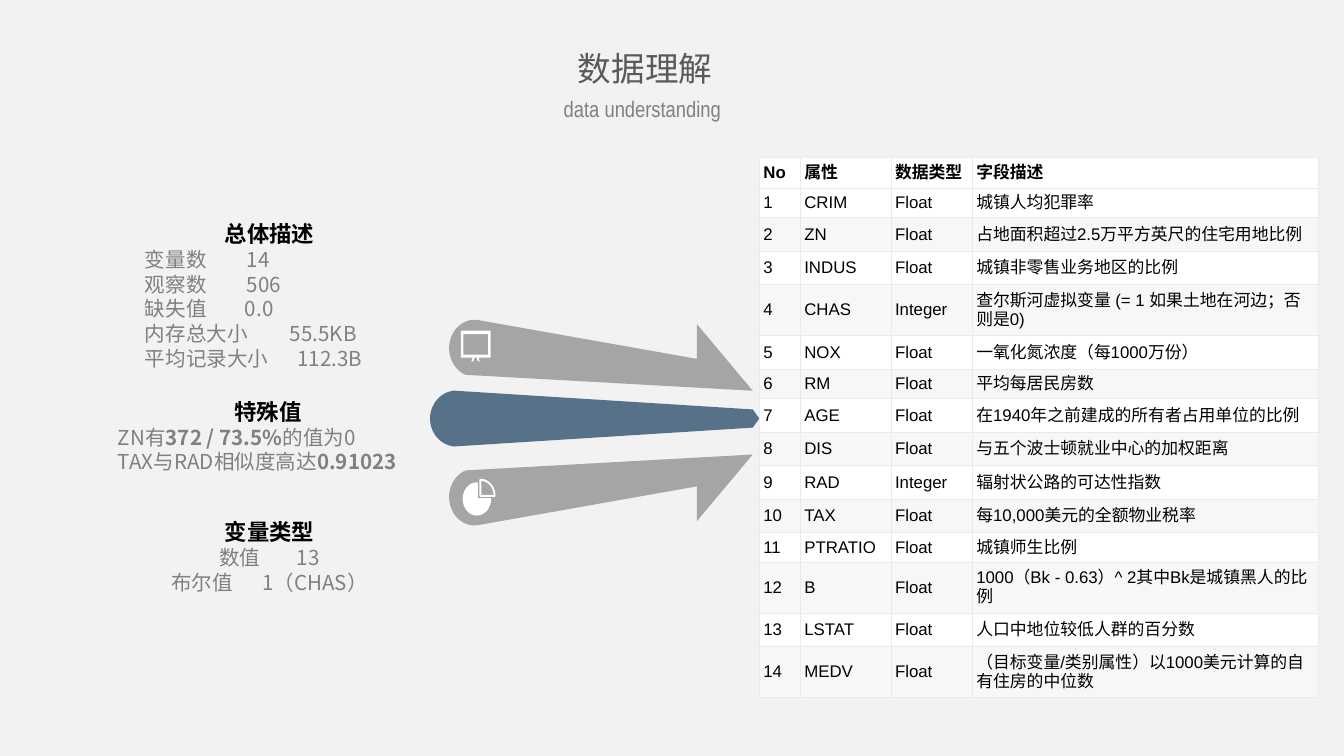
from math import cos, radians, sin
from typing import NamedTuple

from lxml import etree
from pptx import Presentation
from pptx.dml.color import RGBColor
from pptx.enum.text import MSO_ANCHOR, MSO_AUTO_SIZE, PP_ALIGN
from pptx.oxml.ns import qn
from pptx.util import Inches, Pt

CENTER, LEFT = PP_ALIGN.CENTER, PP_ALIGN.LEFT
MIDDLE, TOP = MSO_ANCHOR.MIDDLE, MSO_ANCHOR.TOP
NO_FIT = MSO_AUTO_SIZE.NONE
CELL = Inches(0.1)
TITLE_ONLY = 5
CJK, SANS, NARROW = "Noto Sans CJK SC", "Arial", "Arial Narrow"
BLACK, WHITE, GREY, DARK = "000000", "FFFFFF", "808080", "595959"
BLUE, SILVER, BAND, BORDER, BACKGROUND = "577188", "A5A5A5", "F7F7F7", "E8EAEC", "F2F2F2"

COLUMNS = [3.05, 6.75, 6.05, 25.75]
ROWS = [2.3, 2.2, 2.5, 2.5, 3.8, 2.5, 2.2, 2.5, 2.5, 2.5, 2.5, 2.2, 3.8, 2.5, 3.8]
FIELDS = [
    ("No", "属性", "数据类型", "字段描述"),
    ("1", "CRIM", "Float", "城镇人均犯罪率"),
    ("2", "ZN", "Float", "占地面积超过2.5万平方英尺的住宅用地比例"),
    ("3", "INDUS", "Float", "城镇非零售业务地区的比例"),
    ("4", "CHAS", "Integer", "查尔斯河虚拟变量 (= 1 如果土地在河边；否则是0)"),
    ("5", "NOX", "Float", "一氧化氮浓度（每1000万份）"),
    ("6", "RM", "Float", "平均每居民房数"),
    ("7", "AGE", "Float", "在1940年之前建成的所有者占用单位的比例"),
    ("8", "DIS", "Float", "与五个波士顿就业中心的加权距离"),
    ("9", "RAD", "Integer", "辐射状公路的可达性指数"),
    ("10", "TAX", "Float", "每10,000美元的全额物业税率"),
    ("11", "PTRATIO", "Float", "城镇师生比例"),
    ("12", "B", "Float", "1000（Bk - 0.63）^ 2其中Bk是城镇黑人的比例"),
    ("13", "LSTAT", "Float", "人口中地位较低人群的百分数"),
    ("14", "MEDV", "Float", "（目标变量/类别属性）以1000美元计算的自有住房的中位数"),
]


class Box(NamedTuple):
    """A rectangle in grid cells."""
    left: float
    top: float
    width: float
    height: float

    def emu(self):
        """Return the rectangle as slide lengths."""
        return [round(value * CELL) for value in self]

    def point(self, x, y):
        """Return the slide position of a share of the box."""
        return (round((self.left + x * self.width) * CELL),
                round((self.top + y * self.height) * CELL))


def color(value):
    """Turn a hex string into a colour."""
    return RGBColor.from_string(value)


def set_font(paragraph, name, size, value, bold=False):
    """Format a paragraph for Latin and East Asian text alike."""
    font = paragraph.font
    font.name, font.size, font.bold = name, Pt(size), bold
    font.color.rgb = color(value)
    latin = font._element.find(qn("a:latin"))
    latin.addnext(etree.Element(qn("a:ea"), typeface=name))


def add_heading(shape, box, text, font, size, value):
    """Place a centred line of text in a shape."""
    shape.left, shape.top, shape.width, shape.height = box.emu()
    frame = shape.text_frame
    frame.word_wrap, frame.auto_size, frame.vertical_anchor = True, NO_FIT, TOP
    frame.text = text
    paragraph = frame.paragraphs[0]
    paragraph.alignment = CENTER
    set_font(paragraph, font, size, value)


def add_summary_line(frame, alignment):
    """Add an empty grey line to a summary."""
    paragraph = frame.add_paragraph()
    paragraph.alignment = alignment
    paragraph.line_spacing = Pt(13.2)
    set_font(paragraph, CJK, 11, GREY)
    return paragraph


def add_summary(slide, box, heading):
    """Add a text box with a bold heading and return its text frame."""
    shape = slide.shapes.add_textbox(*box.emu())
    add_heading(shape, box, heading, CJK, 12, BLACK)
    paragraph = shape.text_frame.paragraphs[0]
    paragraph.font.bold = True
    paragraph.line_spacing = 1.5
    return shape.text_frame


def add_values(slide, box, heading, rows, alignment):
    """Add a summary of (label, gap in points, value) rows."""
    frame = add_summary(slide, box, heading)
    for label, gap, value in rows:
        paragraph = add_summary_line(frame, alignment)
        label_run, space, value_run = [paragraph.add_run() for _ in range(3)]
        label_run.text, space.text, value_run.text = label, " ", value
        space.font._element.set("spc", str(gap * 100))


def add_findings(slide, box, heading, lines):
    """Add a summary whose lines alternate plain and bold runs."""
    frame = add_summary(slide, box, heading)
    for texts in lines:
        paragraph = add_summary_line(frame, LEFT)
        for index, text in enumerate(texts):
            run = paragraph.add_run()
            run.text = text
            run.font.bold = index % 2 == 1


def arc(x, y, radius_x, radius_y, start, end, steps=24):
    """Return points on an ellipse, clockwise from the right in degrees."""
    angles = [radians(start + (end - start) * step / steps) for step in range(steps + 1)]
    return [(x + radius_x * cos(angle), y + radius_y * sin(angle)) for angle in angles]


def paint(part, value):
    """Fill a shape, line or cell with a colour, or with none."""
    if value:
        part.solid()
        part.fore_color.rgb = color(value)
    else:
        part.background()


def add_outline(slide, box, contours, fill=None, line=None):
    """Draw closed contours given in shares of a box."""
    paths = [[box.point(*point) for point in contour] for contour in contours]
    builder = slide.shapes.build_freeform(*paths[0][0])
    for index, points in enumerate(paths):
        if index:
            builder.move_to(*points[0])
        builder.add_line_segments(points[1:], close=True)
    shape = builder.convert_to_shape()
    shape.shadow.inherit = False
    paint(shape.fill, fill)
    paint(shape.line.fill, line)
    shape.line.width = Pt(1)


def add_arrows(slide, box):
    """Draw the bar between two mirrored arrows, with their icons."""
    bar = arc(0.08, 0.5, 0.08, 0.4, 105, 255)
    bar += [(0.07, 0.1), (0.98, 0.37), (1, 0.5), (0.98, 0.63), (0.07, 0.9)]
    add_outline(slide, Box(box.left, box.top + box.height * 0.31, box.width, box.height * 0.34),
                [bar], BLUE)
    upper = arc(0.135, 0.138, 0.077, 0.138, 110, 280)
    upper += [(0.81, 0.19), (0.81, 0.02), (0.98, 0.345)]
    add_outline(slide, box, [upper], SILVER)
    add_outline(slide, box, [[(x, 1 - y) for x, y in upper]], SILVER)
    add_board(slide, Box(34.3, 24.6, 2.2, 2.3))
    add_pie(slide, Box(34.5, 35.7, 2.3, 2.6))


def add_board(slide, box):
    """Draw a presentation board on two short legs."""
    board = [(0, 0), (1, 0), (1, 0.88), (0.6, 0.88), (0.63, 1), (0.57, 1), (0.54, 0.88),
             (0.46, 0.88), (0.41, 1), (0.35, 1), (0.4, 0.88), (0, 0.88)]
    screen = [(0.08, 0.12), (0.08, 0.78), (0.92, 0.78), (0.92, 0.12)]
    add_outline(slide, box, [board, screen], WHITE)


def add_pie(slide, box):
    """Draw a pie with its top right quarter moved out."""
    add_outline(slide, box, [[(0.43, 0.55)] + arc(0.43, 0.55, 0.43, 0.45, 0, 270)],
                WHITE, WHITE)
    add_outline(slide, box, [[(0.54, 0.46)] + arc(0.54, 0.46, 0.46, 0.46, 270, 360)],
                line=WHITE)


def add_cell_borders(cell):
    """Draw a thin line on each side of a table cell."""
    properties = cell._tc.get_or_add_tcPr()
    for index, side in enumerate(("a:lnL", "a:lnR", "a:lnT", "a:lnB")):
        line = etree.Element(qn(side), w=str(Pt(0.6)))
        fill = etree.SubElement(line, qn("a:solidFill"))
        etree.SubElement(fill, qn("a:srgbClr"), val=BORDER)
        properties.insert(index, line)


def add_field_table(slide, box):
    """Add the table of fields, banded from its second data row."""
    table = slide.shapes.add_table(len(ROWS), len(COLUMNS), *box.emu()).table
    for column, width in zip(table.columns, COLUMNS):
        column.width = round(box.width * width / sum(COLUMNS) * CELL)
    for index, (row, height) in enumerate(zip(table.rows, ROWS)):
        row.height = round(box.height * height / sum(ROWS) * CELL)
        for cell, text in zip(row.cells, FIELDS[index]):
            cell.text = text
            cell.vertical_anchor = MIDDLE
            cell.margin_left = cell.margin_right = Inches(0.03)
            cell.margin_top = cell.margin_bottom = Inches(0.04)
            paint(cell.fill, BAND if index and index % 2 == 0 else WHITE)
            set_font(cell.text_frame.paragraphs[0], SANS, 9, BLACK, index == 0)
            add_cell_borders(cell)


def main():
    """Build and save the slide."""
    presentation = Presentation()
    presentation.slide_width, presentation.slide_height = Inches(10), Inches(10) * 9 // 16
    slide = presentation.slides.add_slide(presentation.slide_layouts[TITLE_ONLY])
    paint(slide.background.fill, BACKGROUND)
    add_arrows(slide, Box(32, 23.8, 24.5, 15.3))
    add_values(slide, Box(9.8, 14.9, 20.5, 13.3), "总体描述", [
        ("变量数", 19, "14"), ("观察数", 19, "506"), ("缺失值", 18, "0.0"),
        ("内存总大小", 20, "55.5KB"), ("平均记录大小", 13, "112.3B")], LEFT)
    add_heading(slide.shapes.title, Box(36.8, 3.1, 22.4, 4), "数据理解", CJK, 18, DARK)
    subtitle_box = Box(40.6, 6.6, 14.4, 3)
    add_heading(slide.shapes.add_textbox(*subtitle_box.emu()), subtitle_box,
                "data understanding", NARROW, 12, GREY)
    add_field_table(slide, Box(56.5, 11.7, 41.6, 40.2))
    add_findings(slide, Box(7.8, 28.1, 24.3, 7.7), "特殊值", [
        ["ZN有", "372 / 73.5%", "的值为0"], ["TAX与RAD相似度高达", "0.91023"]])
    add_values(slide, Box(8.4, 37.1, 23.3, 7.7), "变量类型", [
        ("数值", 17, "13"), ("布尔值", 13, "1（CHAS）")], CENTER)
    presentation.save("out.pptx")


if __name__ == "__main__":
    main()
